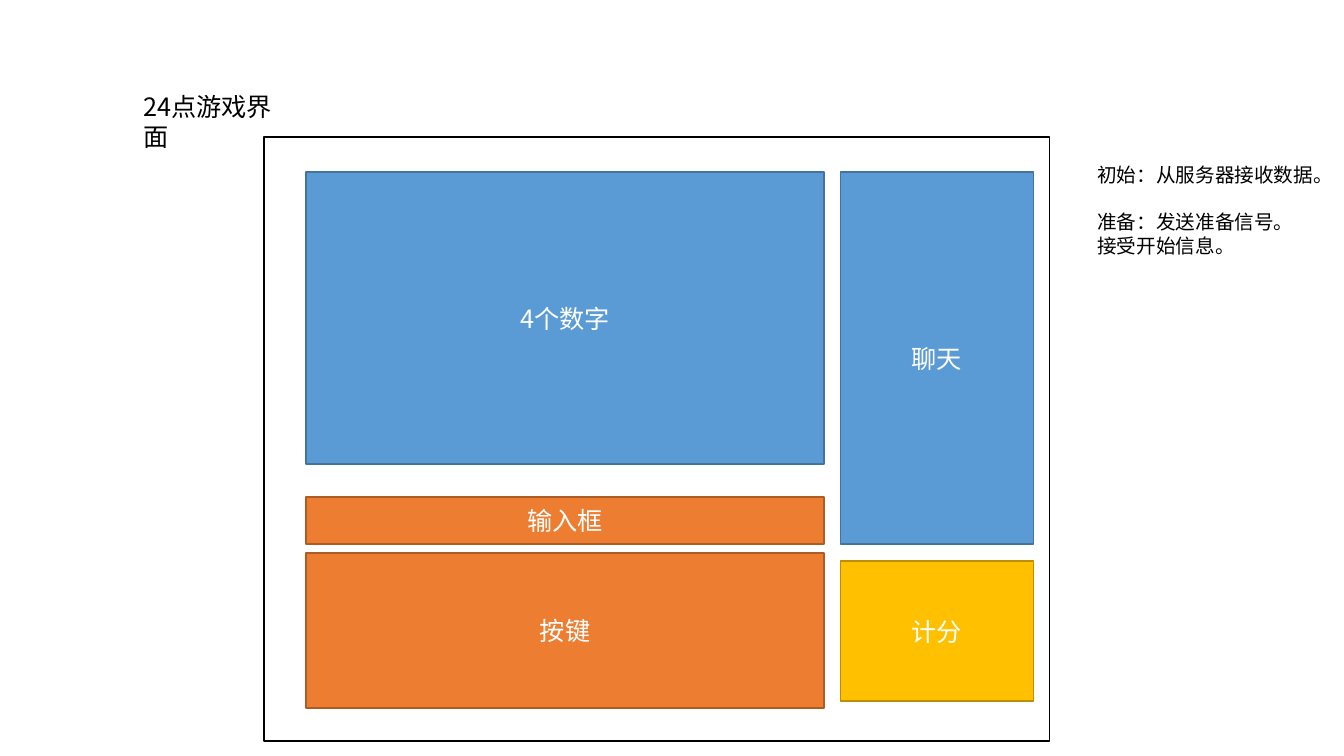
"""Build the layout sketch of the 24-point game screen."""
from lxml.etree import SubElement
from pptx import Presentation
from pptx.dml.color import RGBColor
from pptx.enum.shapes import MSO_SHAPE as SHAPE
from pptx.enum.text import MSO_ANCHOR as ANCHOR, MSO_AUTO_SIZE as AUTO, PP_ALIGN as ALIGN
from pptx.oxml.ns import qn
from pptx.util import Emu, Inches, Pt

BLACK = RGBColor(0x00, 0x00, 0x00)
WHITE = RGBColor(0xFF, 0xFF, 0xFF)
BLUE, BLUE_EDGE = RGBColor(0x5B, 0x9B, 0xD5), RGBColor(0x43, 0x73, 0x9E)
ORANGE, ORANGE_EDGE = RGBColor(0xED, 0x7D, 0x31), RGBColor(0xAF, 0x5C, 0x24)
GOLD, GOLD_EDGE = RGBColor(0xFF, 0xC0, 0x00), RGBColor(0xBD, 0x8E, 0x00)


def px(n):
    """Turn pixels into EMU."""
    return Emu(round(n * 914400 / 100.8))


class Sketch:
    """Holds the slide and its text style."""

    font = "Noto Sans CJK SC"
    leading = 1.2

    def __init__(self, slide):
        self.slide = slide

    def style(self, p, size, color, align):
        """Format a paragraph and its runs."""
        p.alignment = align
        for r in p.runs:
            r.font.size, r.font.name = Pt(size), self.font
            r.font.color.rgb = color
            SubElement(r.font._element, qn("a:ea"), typeface=self.font)

    def fill_text(self, sp, lines, size):
        """Fill a frame with left-aligned lines from the top."""
        tf = sp.text_frame
        tf.text = "\n".join(lines)
        tf.word_wrap, tf.auto_size = True, AUTO.NONE
        tf.vertical_anchor = ANCHOR.TOP
        for p in tf.paragraphs:
            self.style(p, size, BLACK, ALIGN.LEFT)
            p.line_spacing = Pt(size * self.leading)
        return tf

    def title(self, x, y, w, h, text, size=18):
        """Place the slide title."""
        sp = self.slide.shapes.title
        sp.left, sp.top, sp.width, sp.height = map(px, (x, y, w, h))
        self.fill_text(sp, [text], size)

    def note(self, x, y, w, h, lines, size=14):
        """Add a text box."""
        sp = self.slide.shapes.add_textbox(*map(px, (x, y, w, h)))
        return self.fill_text(sp, lines, size)

    def panel(self, x, y, w, h, fill, edge, text="", size=18):
        """Add a rectangle with a centred label."""
        sp = self.slide.shapes.add_shape(SHAPE.RECTANGLE, *map(px, (x, y, w, h)))
        sp.shadow.inherit = False
        sp.fill.solid()
        sp.fill.fore_color.rgb = fill
        sp.line.color.rgb, sp.line.width = edge, Pt(1)
        if text:
            tf = sp.text_frame
            tf.text, tf.vertical_anchor = text, ANCHOR.MIDDLE
            self.style(tf.paragraphs[0], size, WHITE, ALIGN.CENTER)


prs = Presentation()
prs.slide_width, prs.slide_height = Inches(13.33), Inches(7.5)
sketch = Sketch(prs.slides.add_slide(prs.slide_layouts[5]))

sketch.title(133, 86, 173, 40, "24点游戏界面")
sketch.panel(264, 137, 785, 604, WHITE, BLACK)

MAIN, SIDE = (306, 518), (840, 193)
PANELS = [
    (MAIN, 172, 292, BLUE, BLUE_EDGE, "4个数字"),
    (SIDE, 172, 372, BLUE, BLUE_EDGE, "聊天"),
    (MAIN, 553, 155, ORANGE, ORANGE_EDGE, "按键"),
    (MAIN, 497, 47, ORANGE, ORANGE_EDGE, "输入框"),
    (SIDE, 561, 140, GOLD, GOLD_EDGE, "计分"),
]
for (x, w), y, h, fill, edge, label in PANELS:
    sketch.panel(x, y, w, h, fill, edge, label)

tf = sketch.note(1087, 158, 258, 129,
                 ["初始：从服务器接收数据。", "准备：发送准备信号。", "接受开始信息。"])
tf.paragraphs[1].space_before = Pt(17)

prs.save("out.pptx")
